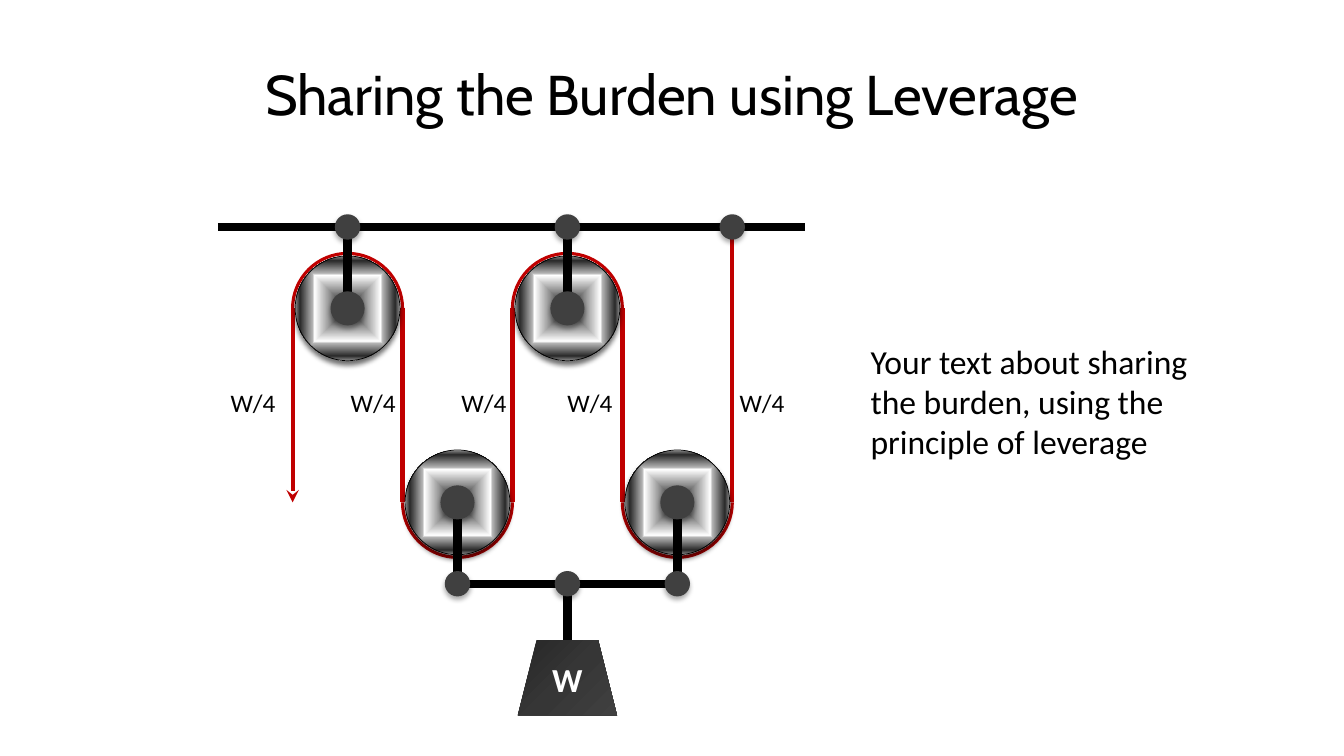
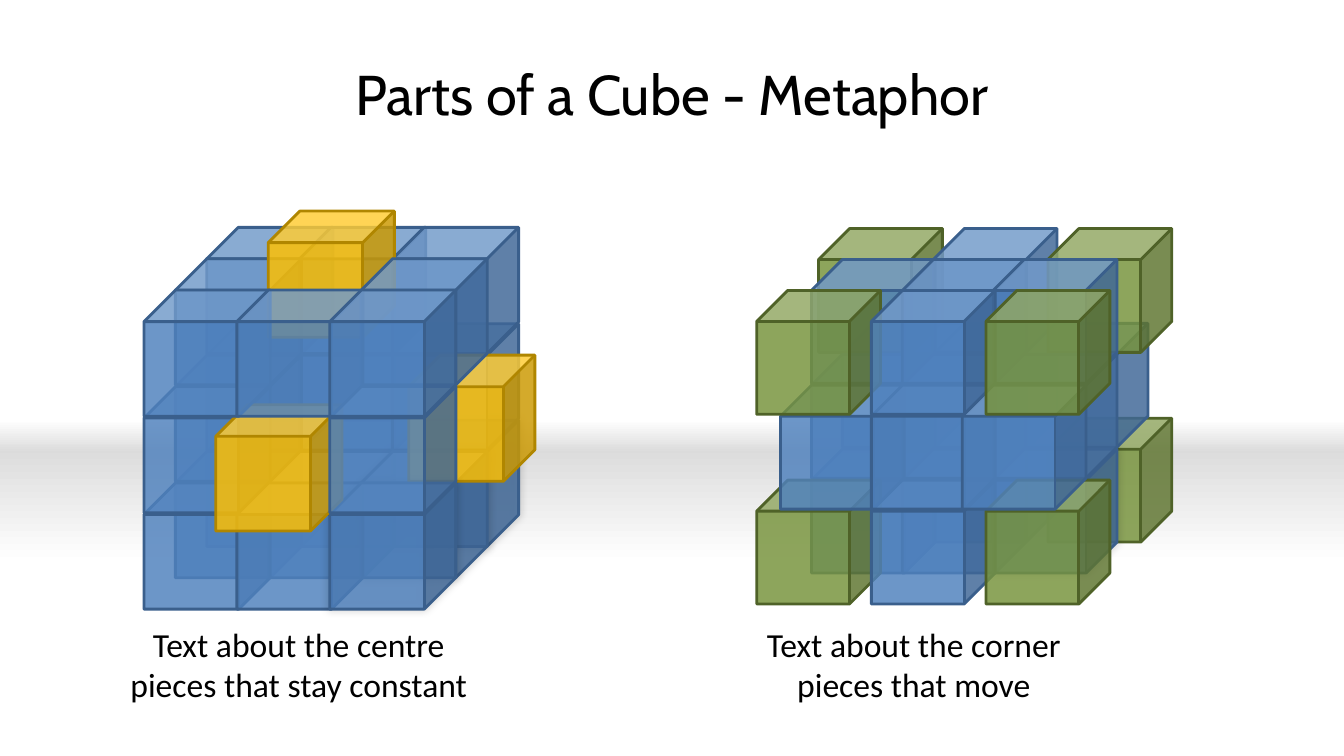
from itertools import product
from math import cos, pi, sin

from lxml import etree
from pptx import Presentation
from pptx.dml.color import RGBColor
from pptx.enum.shapes import MSO_CONNECTOR, MSO_SHAPE
from pptx.enum.text import MSO_ANCHOR, MSO_AUTO_SIZE, PP_ALIGN
from pptx.oxml.ns import qn
from pptx.util import Cm, Pt

STRAIGHT = MSO_CONNECTOR.STRAIGHT
OVAL, RECT, CUBE, TRAPEZOID = (MSO_SHAPE.OVAL, MSO_SHAPE.RECTANGLE,
                               MSO_SHAPE.CUBE, MSO_SHAPE.TRAPEZOID)
MIDDLE = MSO_ANCHOR.MIDDLE
GROW = MSO_AUTO_SIZE.SHAPE_TO_FIT_TEXT
LEFT, CENTER = PP_ALIGN.LEFT, PP_ALIGN.CENTER

BLACK, WHITE, ROPE, METAL = "000000", "FFFFFF", "C00000", "404040"
BLUE, GOLD, GREEN = ("4F81BD", "3A5F8C"), ("FFC000", "B08600"), ("77933C", "4F6228")
CHROME = [(0, "262626"), (11, "5F5F5F"), (21, "5F5F5F"), (63, "FFFFFF"),
          (67, "B2B2B2"), (91, "292929"), (98, "777777"), (100, "EAEAEA")]
DISC_SHADOW, KNOB_SHADOW, CUBE_SHADOW = (56, 4, 3, 90), (32, 3.5, 2.2, 90), (20, 6, 0, 315)


def rgb(value):
    """Turn a hex string into a colour."""
    return RGBColor.from_string(value)


def add_xml(parent, tag, **attributes):
    """Append a drawing element to its parent."""
    return etree.SubElement(parent, qn(f"a:{tag}"),
                            {name: str(value) for name, value in attributes.items()})


class Deck:
    """Hold the shared style and the current slide."""

    width, height = 33.87, 19.05
    title_font, body_font = "Cabin", "Calibri"

    def __init__(self):
        """Start an empty wide presentation."""
        self.file = Presentation()
        self.file.slide_width, self.file.slide_height = Cm(self.width), Cm(self.height)
        self.shapes = None

    def new_slide(self, title):
        """Add a slide with a centred title."""
        self.shapes = self.file.slides.add_slide(self.file.slide_layouts[5]).shapes
        heading = self.shapes.title
        heading.left, heading.top = Cm(1.69), Cm(0.76)
        heading.width, heading.height = Cm(30.48), Cm(3.18)
        heading.text_frame.vertical_anchor = MIDDLE
        self.add_words(heading.text_frame, title, 40, font=self.title_font, align=CENTER)

    def add_words(self, frame, text, size, color=BLACK, bold=False, font=body_font, align=LEFT):
        """Put one formatted run into the first paragraph."""
        paragraph = frame.paragraphs[0]
        paragraph.alignment = align
        run = paragraph.add_run()
        run.text = text
        run.font.size, run.font.name, run.font.bold = Pt(size), font, bold
        run.font.color.rgb = rgb(color)

    def text(self, left, top, width, height, text, size=24, align=LEFT, wrap=True):
        """Add a text box."""
        frame = self.shapes.add_textbox(Cm(left), Cm(top), Cm(width), Cm(height)).text_frame
        frame.word_wrap, frame.auto_size = wrap, GROW
        self.add_words(frame, text, size, align=align)

    def shape(self, kind, left, top, width, height, fill=WHITE, line=None, weight=1,
              shadow=None, alpha=None):
        """Add a preset shape with a plain fill."""
        shape = self.shapes.add_shape(kind, Cm(left), Cm(top), Cm(width), Cm(height))
        shape.fill.solid()
        shape.fill.fore_color.rgb = rgb(fill)
        if alpha:
            solid = shape._element.spPr.find(qn("a:solidFill"))
            add_xml(solid[0], "alpha", val=alpha * 1000)
        if line:
            shape.line.color.rgb = rgb(line)
            shape.line.width = Pt(weight)
        else:
            shape.line.fill.background()
        shape.shadow.inherit = False
        if shadow:
            opacity, blur, distance, angle = shadow
            effects = shape._element.spPr.find(qn("a:effectLst"))
            outer = add_xml(effects, "outerShdw", blurRad=Pt(blur), dist=Pt(distance),
                            dir=angle * 60000, rotWithShape=0)
            add_xml(add_xml(outer, "srgbClr", val=BLACK), "alpha", val=opacity * 1000)
        return shape

    def gradient(self, shape, stops, angle=None):
        """Give a shape a linear gradient, or one towards its centre."""
        properties = shape._element.spPr
        solid = properties.find(qn("a:solidFill"))
        blend = add_xml(properties, "gradFill", rotWithShape=1)
        properties.replace(solid, blend)
        stop_list = add_xml(blend, "gsLst")
        for position, color in stops:
            add_xml(add_xml(stop_list, "gs", pos=position * 1000), "srgbClr", val=color)
        if angle is None:
            add_xml(add_xml(blend, "path", path="shape"), "fillToRect",
                    l=50000, t=50000, r=50000, b=50000)
        else:
            add_xml(blend, "lin", ang=angle * 60000, scaled=0)

    def line(self, x1, y1, x2, y2, color=BLACK, weight=6, arrow=False):
        """Add a straight connector."""
        line = self.shapes.add_connector(STRAIGHT, Cm(x1), Cm(y1), Cm(x2), Cm(y2))
        line.line.color.rgb = rgb(color)
        line.line.width = Pt(weight)
        properties = line._element.spPr
        if arrow:
            add_xml(properties.find(qn("a:ln")), "tailEnd", type="stealth")
        add_xml(properties, "effectLst")
        return line

    def half_circle(self, x, y, radius, side):
        """Draw an open rope arc above (-1) or below (1) a centre."""
        steps = 32
        points = [(Cm(x + radius * cos(pi * step / steps)),
                   Cm(y + side * radius * sin(pi * step / steps)))
                  for step in range(steps + 1)]
        builder = self.shapes.build_freeform(*points[0])
        builder.add_line_segments(points[1:], close=False)
        arc = builder.convert_to_shape()
        arc.fill.background()
        arc.line.color.rgb = rgb(ROPE)
        arc.line.width = Pt(2.25)
        arc.shadow.inherit = False

    def disc(self, x, y, diameter, **style):
        """Add a circle around a centre."""
        return self.shape(OVAL, x - diameter / 2, y - diameter / 2, diameter, diameter, **style)

    def knob(self, x, y, diameter=0.64):
        """Add a dark joint."""
        self.disc(x, y, diameter, fill=METAL, shadow=KNOB_SHADOW)

    def cube_stack(self, left, top, size, steps, moved, accent, absent):
        """Stack cubes from back to front, bottom to top and left to right."""
        step_x, step_y, depth = steps
        for place in product(range(3), repeat=3):
            if place == absent:
                continue
            layer, row, column = place
            shift_x, shift_y = moved.get(place, (0, 0))
            fill, edge = accent if place in moved else BLUE
            shaded = place not in moved and (row, column) == (0, 2)
            self.shape(CUBE, left + column * step_x - layer * depth + shift_x,
                       top - row * step_y + layer * depth + shift_y, size, size,
                       fill=fill, line=edge, weight=2, alpha=83,
                       shadow=CUBE_SHADOW if shaded else None)


def leverage_slide(deck):
    """Build the pulley diagram."""
    deck.new_slide("Sharing the Burden using Leverage")
    gap, first, beam_y, bar_y = 2.77, 8.76, 5.72, 14.71
    upper_y, lower_y = 7.77, 12.66
    radius = gap / 2
    pulleys = [(first + i * gap, *((lower_y, bar_y, 1) if i % 2 else (upper_y, beam_y, -1)))
               for i in range(4)]
    ropes = [first - radius + i * gap for i in range(5)]
    middle = first + 2 * gap

    for x, y, _, side in pulleys:
        deck.half_circle(x, y, radius, side)
    for x in ropes:
        top = beam_y if x == ropes[-1] else upper_y
        deck.line(x, top, x, lower_y, ROPE, 3, arrow=x == ropes[0])
    for x, y, _, _ in pulleys:
        wheel = deck.disc(x, y, 2.64, line=BLACK, weight=0.5, shadow=DISC_SHADOW)
        deck.gradient(wheel, CHROME)

    deck.line(5.49, beam_y, 20.29, beam_y)
    deck.line(pulleys[1][0] - 0.1, bar_y, pulleys[3][0] + 0.1, bar_y)
    load = deck.shape(TRAPEZOID, middle - 1.25, 16.13, 2.5, 1.9)
    deck.gradient(load, [(0, "262626"), (50, "363636"), (100, METAL)], 45)
    frame = load.text_frame
    frame.margin_left = frame.margin_right = frame.margin_top = 0
    frame.margin_bottom = Cm(0.2)
    frame.vertical_anchor = MIDDLE
    deck.add_words(frame, "W", 24, WHITE, bold=True, align=CENTER)
    deck.line(middle, bar_y, middle, 16.13).end_connect(load, 0)

    for x, y, support_y, _ in pulleys:
        deck.line(x, y, x, support_y)
        deck.knob(x, y, 0.86)
        deck.knob(x, support_y)
    deck.knob(ropes[-1], beam_y)
    deck.knob(middle, bar_y)

    for left in (5.56, 8.59, 11.38, 14.05, 18.39):
        deck.text(left, 9.63, 1.65, 1.02, "W/4", 18, wrap=False)
    deck.text(21.69, 8.46, 8.84, 3.33,
              "Your text about sharing the burden, using the principle of leverage")


def cube_slide(deck):
    """Build the two exploded cubes."""
    deck.new_slide("Parts of a Cube - Metaphor")
    for top, height, start, end in ((11.4, 2.8, "DDDDDD", WHITE), (10.58, 0.83, WHITE, "DBDBDB")):
        floor = deck.shape(RECT, 0, top, deck.width, height)
        deck.gradient(floor, [(0, start), (100, end)], 90)

    centres = {(1, 1, 2): (1.2, 0), (1, 2, 1): (0, -1.2), (2, 1, 1): (-0.53, 0.46)}
    corners = {place: ((place[2] - 1) * 0.6, 0) for place in product((0, 2), repeat=3)}
    deck.cube_stack(5.21, 10.59, 3.18, (2.34, 2.43, 0.79), centres, GOLD, (1, 1, 1))
    deck.cube_stack(21.23, 10.54, 3.12, (2.29, 2.39, 0.78), corners, GREEN, (0, 0, 0))
    for left, caption in ((2.92, "Text about the centre pieces that stay constant"),
                          (18.42, "Text about the corner pieces that move")):
        deck.text(left, 15.6, 9.22, 2.31, caption, align=CENTER)


def main():
    """Build and save the presentation."""
    deck = Deck()
    leverage_slide(deck)
    cube_slide(deck)
    deck.file.save("out.pptx")


if __name__ == "__main__":
    main()
